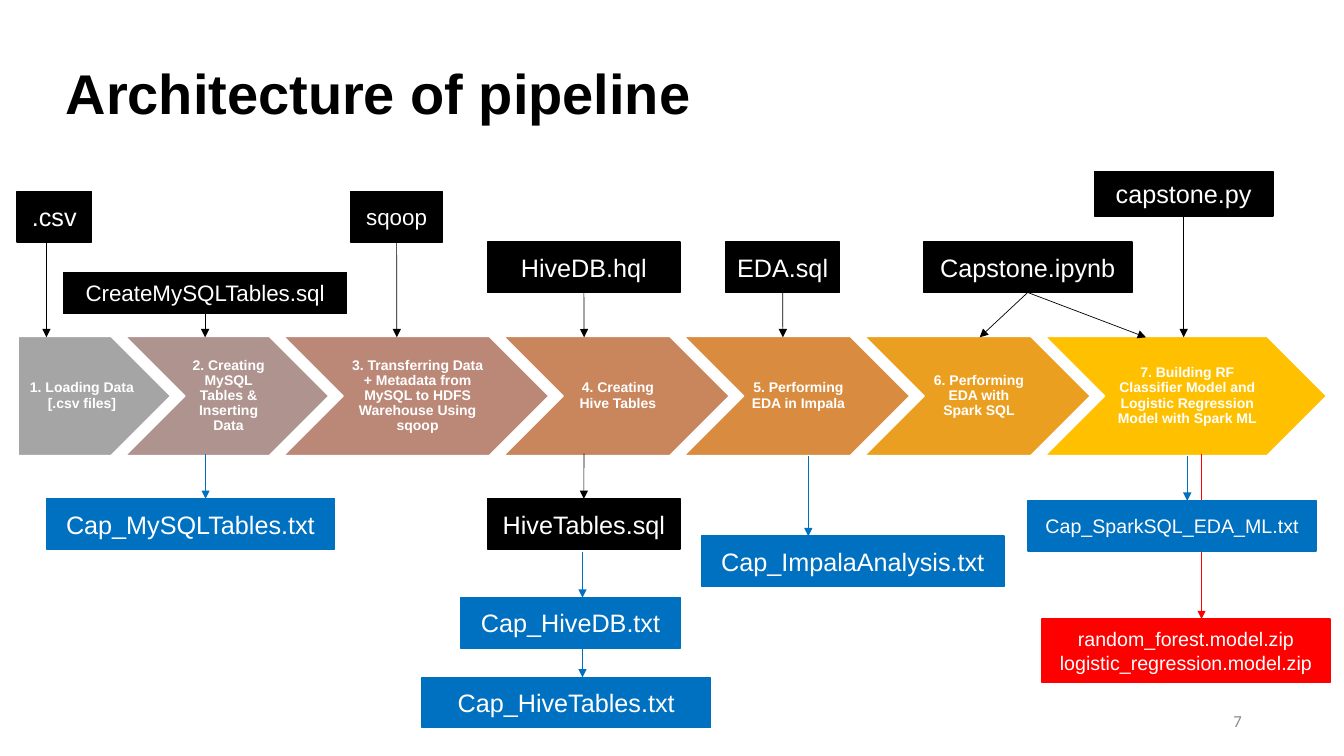
"""Build the pipeline architecture slide."""
import dataclasses

import lxml.etree
import pptx
import pptx.dml.color
import pptx.enum.shapes
import pptx.enum.text
import pptx.oxml.ns
import pptx.util

Cm = pptx.util.Cm
Pt = pptx.util.Pt
SHAPE = pptx.enum.shapes.MSO_SHAPE
ALIGN = pptx.enum.text.PP_ALIGN
TOP, BOTTOM = 0, 2


@dataclasses.dataclass(frozen=True)
class Theme:
    """Colours, fonts and type sizes of the slide."""
    font: str = "Arial"
    number_font: str = "Calibri"
    black: str = "000000"
    white: str = "FFFFFF"
    grey: str = "8C8C8C"
    blue: str = "0070C0"
    red: str = "FF0000"
    stages: tuple = ("A5A5A5", "AF938F", "BB8777", "C9855C",
                     "D98C3F", "EB9F21", "FFC000")
    title: int = 40
    large: int = 18
    medium: int = 16
    small: int = 14
    number: int = 12
    stage: int = 10


THEME = Theme()
STAGE_LEFT, STAGE_TOP, STAGE_HEIGHT, STAGE_OVERLAP = 0.46, 8.48, 3.0, 1.14
INPUT_END, OUTPUT_START = 8.5, 11.43

STAGES = [
    ("1. Loading Data [.csv files]", 3.84),
    ("2. Creating MySQL Tables & Inserting Data", 5.13),
    ("3. Transferring Data + Metadata from MySQL to HDFS Warehouse Using sqoop", 6.68),
    ("4. Creating Hive Tables", 5.69),
    ("5. Performing EDA in Impala", 5.69),
    ("6. Performing EDA with Spark SQL", 5.69),
    ("7. Building RF Classifier Model and Logistic Regression Model with Spark ML", 7.09),
]

# label, size, (left, top, width, height), arrow start or None for the centre, arrow ends
INPUTS = [
    (".csv", THEME.large, (0.43, 4.83, 1.88, 1.27), 1.17, [1.17]),
    ("CreateMySQLTables.sql", THEME.medium, (1.6, 6.86, 7.14, 1.04), None, [5.17]),
    ("sqoop", THEME.medium, (8.84, 4.83, 2.31, 1.27), None, [10.0]),
    ("HiveDB.hql", THEME.large, (12.29, 6.1, 4.85, 1.27), None, [14.72]),
    ("EDA.sql", THEME.large, (18.29, 6.1, 2.87, 1.27), None, [19.73]),
    ("Capstone.ipynb", THEME.large, (23.27, 6.1, 5.26, 1.27), None, [24.69, 28.88]),
    ("capstone.py", THEME.large, (27.58, 4.32, 4.5, 1.12), None, [29.83]),
]

# labels, size, colour, (left, top, width, height), arrow end or None for the centre, arrow start
OUTPUTS = [
    (["HiveTables.sql"], THEME.large, THEME.black,
     (12.29, 12.57, 4.85, 1.27), None, OUTPUT_START),
    (["Cap_MySQLTables.txt"], THEME.large, THEME.blue,
     (1.17, 12.57, 7.26, 1.27), 5.18, OUTPUT_START),
    (["Cap_HiveDB.txt"], THEME.large, THEME.blue,
     (11.61, 15.06, 5.54, 1.27), 14.68, 13.92),
    (["Cap_ImpalaAnalysis.txt"], THEME.large, THEME.blue,
     (17.68, 13.51, 7.62, 1.27), 20.37, 11.48),
    (["Cap_HiveTables.txt"], THEME.large, THEME.blue,
     (10.64, 17.07, 7.26, 1.27), 14.68, 15.93),
    (["random_forest.model.zip", "logistic_regression.model.zip"], THEME.small, THEME.red,
     (26.26, 15.6, 7.26, 1.6), 30.28, OUTPUT_START),
    (["Cap_SparkSQL_EDA_ML.txt"], THEME.small, THEME.blue,
     (25.91, 12.62, 7.26, 1.27), 29.92, 11.48),
]


def rgb(colour):
    """Return a colour object for a hex string."""
    return pptx.dml.color.RGBColor.from_string(colour)


def write_lines(frame, lines, size, colour, align=ALIGN.CENTER, bold=False,
                font=THEME.font, spacing=None):
    """Write one formatted run per paragraph, centred vertically."""
    frame.word_wrap = True
    frame.auto_size = pptx.enum.text.MSO_AUTO_SIZE.NONE
    frame.vertical_anchor = pptx.enum.text.MSO_ANCHOR.MIDDLE
    for index, line in enumerate(lines):
        paragraph = frame.add_paragraph() if index else frame.paragraphs[0]
        paragraph.alignment = align
        paragraph.line_spacing = spacing
        run = paragraph.add_run()
        run.text = line
        run.font.name = font
        run.font.size = Pt(size)
        run.font.bold = bold
        run.font.color.rgb = rgb(colour)


def add_panel(slide, kind, bounds, fill, line):
    """Add a flat filled shape with a thin outline."""
    panel = slide.shapes.add_shape(kind, *map(Cm, bounds))
    panel.shadow.inherit = False
    panel.fill.solid()
    panel.fill.fore_color.rgb = rgb(fill)
    panel.line.color.rgb = rgb(line)
    panel.line.width = Pt(1)
    return panel


def add_file_box(slide, labels, size, colour, bounds):
    """Add a rectangle naming one or more files."""
    box = add_panel(slide, SHAPE.RECTANGLE, bounds, colour, colour)
    box.text_frame.margin_left = box.text_frame.margin_right = Cm(0.1)
    write_lines(box.text_frame, labels, size, THEME.white)
    return box


def add_arrow(slide, start, end, colour):
    """Add a thin straight arrow and return it."""
    arrow = slide.shapes.add_connector(
        pptx.enum.shapes.MSO_CONNECTOR.STRAIGHT, *map(Cm, (*start, *end)))
    arrow.line.color.rgb = rgb(colour)
    arrow.line.width = Pt(0.5)
    qn = pptx.oxml.ns.qn
    lxml.etree.SubElement(arrow.line._get_or_add_ln(), qn("a:tailEnd"), type="triangle")
    lxml.etree.SubElement(arrow._element.spPr, qn("a:effectLst"))
    return arrow


def add_stages(slide):
    """Add the row of interlocking pipeline stages."""
    left = STAGE_LEFT
    for index, ((label, width), colour) in enumerate(zip(STAGES, THEME.stages)):
        kind = SHAPE.CHEVRON if index else SHAPE.PENTAGON
        stage = add_panel(slide, kind, (left, STAGE_TOP, width, STAGE_HEIGHT),
                          colour, THEME.white)
        frame = stage.text_frame
        frame.margin_left = Cm(0.1 if index else 0.15)
        frame.margin_right = Cm(0.03)
        frame.margin_top = frame.margin_bottom = Cm(0.08)
        write_lines(frame, [label], THEME.stage, THEME.white, bold=True, spacing=0.9)
        left += width - STAGE_OVERLAP


def add_input(slide, label, size, bounds, start_x, end_xs):
    """Add a script box above the stages with its arrows."""
    left, top, width, height = bounds
    box = add_file_box(slide, [label], size, THEME.black, bounds)
    for end_x in end_xs:
        start = (start_x or left + width / 2, top + height)
        arrow = add_arrow(slide, start, (end_x, INPUT_END), THEME.black)
        if start_x is None:
            arrow.begin_connect(box, BOTTOM)


def add_output(slide, labels, size, colour, bounds, end_x, start_y):
    """Add a result box below the stages with its arrow."""
    left, top, width, height = bounds
    x = end_x or left + width / 2
    arrow = add_arrow(slide, (x, start_y), (x, top), colour)
    box = add_file_box(slide, labels, size, colour, bounds)
    if end_x is None:
        arrow.end_connect(box, TOP)


def add_title(slide, text):
    """Place and format the slide title."""
    title = slide.shapes.title
    title.left, title.top, title.width, title.height = map(Cm, (1.4, 0.58, 29.21, 3.68))
    write_lines(title.text_frame, [text], THEME.title, THEME.black,
                align=ALIGN.LEFT, bold=True, spacing=0.9)


def add_page_number(slide, number):
    """Add the page number at the bottom right."""
    box = slide.shapes.add_textbox(*map(Cm, (23.93, 17.65, 7.62, 1.02)))
    write_lines(box.text_frame, [number], THEME.number, THEME.grey,
                align=ALIGN.RIGHT, font=THEME.number_font)


def main():
    """Build and save the presentation."""
    deck = pptx.Presentation()
    deck.slide_width, deck.slide_height = Cm(33.87), Cm(19.05)
    slide = deck.slides.add_slide(deck.slide_layouts.get_by_name("Title Only"))
    add_title(slide, "Architecture of pipeline")
    add_page_number(slide, "7")
    add_stages(slide)
    for script in INPUTS:
        add_input(slide, *script)
    for result in OUTPUTS:
        add_output(slide, *result)
    deck.save("out.pptx")


if __name__ == "__main__":
    main()
